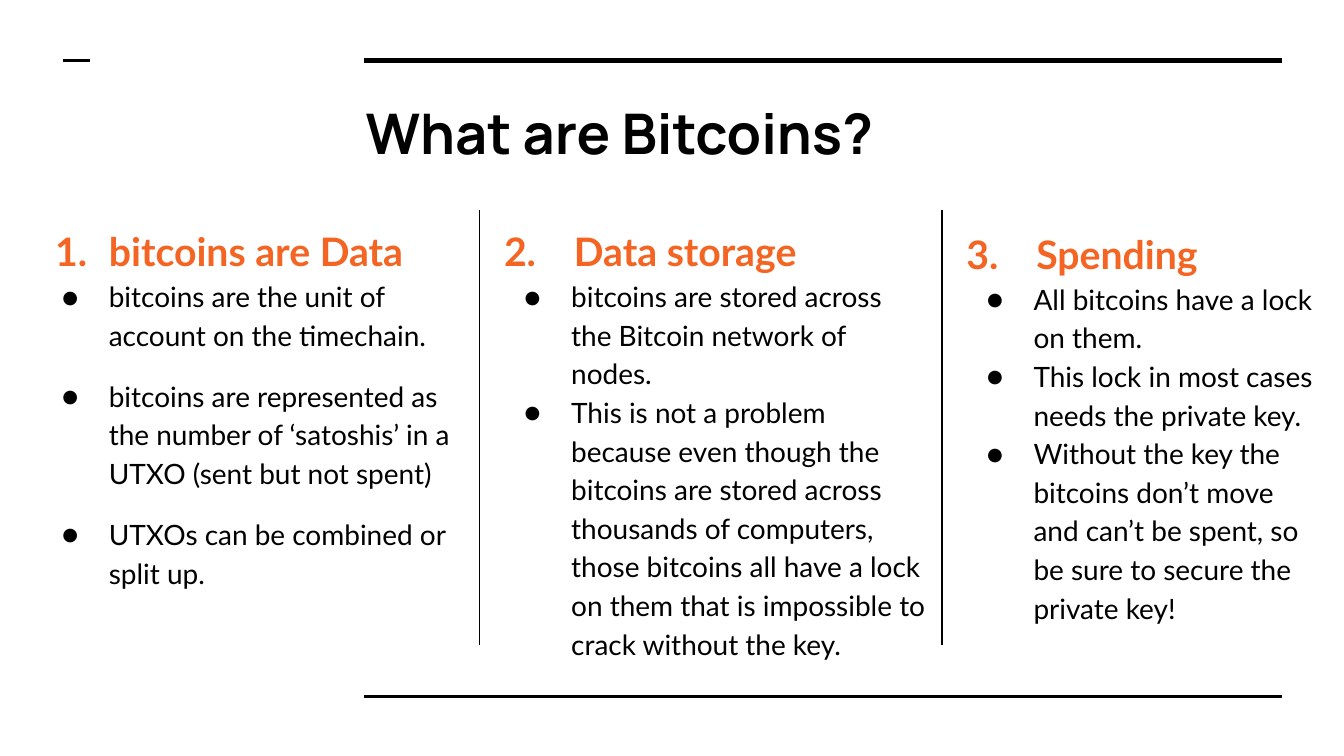
from lxml.etree import SubElement
from pptx import Presentation
from pptx.dml.color import RGBColor
from pptx.enum.shapes import MSO_CONNECTOR
from pptx.enum.text import MSO_ANCHOR, MSO_AUTO_SIZE, PP_ALIGN
from pptx.oxml.ns import qn
from pptx.util import Inches, Pt

THEME = {
    "ink": "000000", "accent": "F46524", "paper": "FFFFFF",
    "title_font": "Manrope", "body_font": "Lato",
    "title_size": 30, "heading_size": 21, "body_size": 15,
}

TITLE = "What are Bitcoins?"
COLUMNS = [
    {"heading": "bitcoins are Data", "box": (0.21, 1.54, 3.36, 3.28),
     "margin": 0.5, "hang": 0.4, "gap": 12, "numbered": True,
     "points": [
         "bitcoins are the unit of account on the timechain.",
         "bitcoins are represented as the number of ‘satoshis’ in a UTXO (sent but not spent)",
         "UTXOs can be combined or split up.",
     ]},
    {"heading": "2.\tData storage", "box": (3.65, 1.54, 3.36, 3.73),
     "margin": 0.52, "hang": 0.52, "gap": 0, "numbered": False,
     "points": [
         "bitcoins are stored across the Bitcoin network of nodes.",
         "This is not a problem because even though the bitcoins are stored across "
         "thousands of computers, those bitcoins all have a lock on them that is "
         "impossible to crack without the key.",
     ]},
    {"heading": "3.\tSpending", "box": (7.09, 1.56, 2.81, 3.55),
     "margin": 0.52, "hang": 0.52, "gap": 0, "numbered": False,
     "points": [
         "All bitcoins have a lock on them.",
         "This lock in most cases needs the private key.",
         "Without the key the bitcoins don’t move and can’t be spent, "
         "so be sure to secure the private key!",
     ]},
]

RULE_LEFT, RULE_RIGHT = 2.71, 9.54
RULE_TOP, RULE_BOTTOM = 0.45, 5.18
DIVIDER_TOP, DIVIDER_BOTTOM = 1.56, 4.8
DIVIDERS = [3.57, 7.01]
RULES = [
    (RULE_LEFT, RULE_TOP, RULE_RIGHT, RULE_TOP, 3),
    (RULE_LEFT, RULE_BOTTOM, RULE_RIGHT, RULE_BOTTOM, 1.5),
    (0.47, RULE_TOP, 0.67, RULE_TOP, 1.5),
] + [(x, DIVIDER_TOP, x, DIVIDER_BOTTOM, 0.75) for x in DIVIDERS]


def color(name):
    return RGBColor.from_string(THEME[name])


def add_rule(slide, x1, y1, x2, y2, weight):
    rule = slide.shapes.add_connector(
        MSO_CONNECTOR.STRAIGHT, Inches(x1), Inches(y1), Inches(x2), Inches(y2))
    rule.line.color.rgb = color("ink")
    rule.line.width = Pt(weight)
    SubElement(rule._element.spPr, qn("a:effectLst"))


def place(holder, left, top, width, height):
    holder.left, holder.top = Inches(left), Inches(top)
    holder.width, holder.height = Inches(width), Inches(height)
    frame = holder.text_frame
    frame.margin_left = frame.margin_right = Inches(0.1)
    frame.margin_top = frame.margin_bottom = Inches(0.1)
    frame.vertical_anchor = MSO_ANCHOR.TOP
    frame.auto_size = MSO_AUTO_SIZE.NONE
    frame.word_wrap = True
    return frame


def write(frame, text, first=False, size="body_size", font="body_font", ink="ink",
          bold=False, spacing=1.0, before=0, margin=0, hang=0, bullet=None, numbered=False):
    paragraph = frame.paragraphs[0] if first else frame.add_paragraph()
    paragraph.alignment = PP_ALIGN.LEFT
    paragraph.line_spacing = spacing
    paragraph.space_before, paragraph.space_after = Pt(before), Pt(0)
    props = paragraph._p.get_or_add_pPr()
    props.set("marL", str(Inches(margin)))
    props.set("indent", str(-Inches(hang)))
    if bullet or numbered:
        SubElement(SubElement(props, qn("a:buClr")), qn("a:srgbClr"), val=THEME[ink])
        SubElement(props, qn("a:buFont"), typeface=THEME[font])
    if numbered:
        SubElement(props, qn("a:buAutoNum"), type="arabicPeriod")
    elif bullet:
        SubElement(props, qn("a:buChar"), char=bullet)
    else:
        SubElement(props, qn("a:buNone"))
    run = paragraph.add_run()
    run.text = text
    run.font.name, run.font.size = THEME[font], Pt(THEME[size])
    run.font.bold, run.font.color.rgb = bold, color(ink)


def main():
    deck = Presentation()
    deck.slide_width = Inches(10)
    deck.slide_height = deck.slide_width * 9 // 16
    slide = deck.slides.add_slide(deck.slide_layouts.get_by_name("Comparison"))
    slide.background.fill.solid()
    slide.background.fill.fore_color.rgb = color("paper")

    for rule in RULES:
        add_rule(slide, *rule)

    title = place(slide.shapes.title, 2.62, 0.63, 6.91, 0.69)
    write(title, TITLE, first=True, size="title_size", font="title_font", bold=True)

    bodies = list(slide.placeholders)[1:]
    for column, body in zip(COLUMNS, bodies):
        frame = place(body, *column["box"])
        write(frame, column["heading"], first=True, size="heading_size", ink="accent",
              bold=True, spacing=1.15, margin=column["margin"], hang=column["hang"],
              numbered=column["numbered"])
        for index, point in enumerate(column["points"]):
            write(frame, point, spacing=1.15, before=column["gap"] if index else 0,
                  margin=0.5, hang=0.35, bullet="●")

    for spare in bodies[len(COLUMNS):]:
        spare._element.getparent().remove(spare._element)

    deck.save("out.pptx")


if __name__ == "__main__":
    main()
